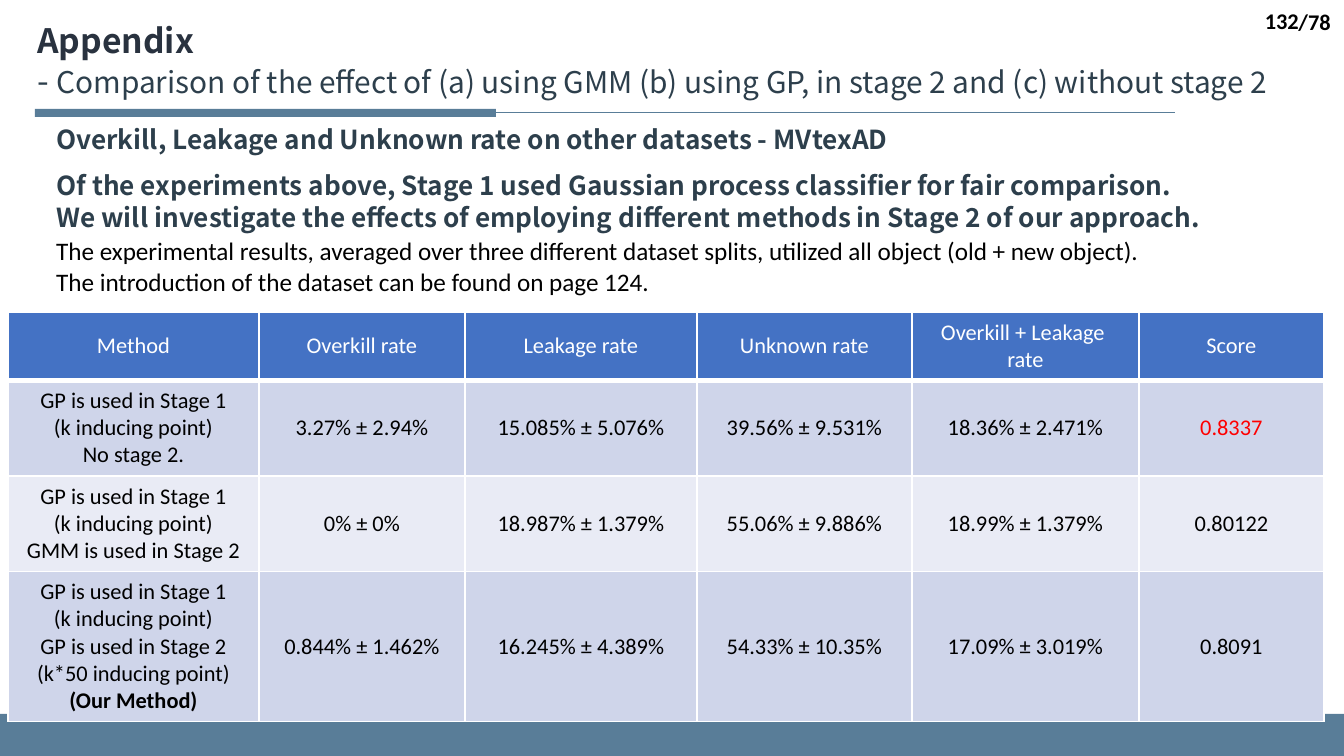
from dataclasses import dataclass

from lxml.etree import SubElement
from pptx import Presentation
from pptx.dml.color import RGBColor
from pptx.enum.shapes import MSO_CONNECTOR, MSO_SHAPE
from pptx.enum.text import MSO_ANCHOR, MSO_AUTO_SIZE, PP_ALIGN
from pptx.oxml.ns import qn
from pptx.util import Pt

SLIDE_WIDTH, SLIDE_HEIGHT = 1344, 756
EMU_PER_PX = 9144000 / SLIDE_WIDTH
TITLE_ONLY = 5


@dataclass(frozen=True)
class Theme:
    heading_font: str = "Noto Sans CJK SC"
    body_font: str = "Calibri"
    accent: str = "597D98"
    title: str = "29323F"
    heading: str = "2D3F4C"
    black: str = "000000"
    white: str = "FFFFFF"
    highlight: str = "FF0000"
    header_fill: str = "4472C4"
    band_fills: tuple = ("CFD5EA", "E9EBF5")
    title_size: float = 18
    subtitle_size: float = 16
    heading_size: float = 14
    body_size: float = 13.5
    small_size: float = 12


def px(length):
    return round(length * EMU_PER_PX)


def set_all(target, values):
    for name, value in values.items():
        setattr(target, name, value)


class SlideBuilder:
    def __init__(self, slide, theme):
        self.slide = slide
        self.theme = theme

    def style_font(self, font, face, size, color, bold=False):
        set_all(font, {"name": face, "size": Pt(size), "bold": bold})
        font.color.rgb = RGBColor.from_string(color)

    def title(self, box, heading, subtitle):
        theme = self.theme
        shape = self.slide.shapes.title
        set_all(shape, dict(zip(("left", "top", "width", "height"), map(px, box))))
        set_all(shape.text_frame, {
            "word_wrap": True,
            "auto_size": MSO_AUTO_SIZE.NONE,
            "vertical_anchor": MSO_ANCHOR.TOP,
        })
        paragraph = shape.text_frame.paragraphs[0]
        paragraph.alignment = PP_ALIGN.LEFT
        runs = (
            (heading, theme.title_size, theme.title, True),
            ("- ", theme.title_size, theme.heading, False),
            (subtitle, theme.subtitle_size, theme.heading, False),
        )
        for index, (text, size, color, bold) in enumerate(runs):
            if index == 1:
                paragraph.add_line_break()
            run = paragraph.add_run()
            run.text = text
            self.style_font(run.font, theme.heading_font, size, color, bold)

    def text(self, box, lines, face, size, color, bold=False,
             align=PP_ALIGN.LEFT, anchor=MSO_ANCHOR.TOP):
        frame = self.slide.shapes.add_textbox(*map(px, box)).text_frame
        set_all(frame, {"word_wrap": True, "vertical_anchor": anchor})
        frame.text = "\n".join(lines)
        for paragraph in frame.paragraphs:
            paragraph.alignment = align
            self.style_font(paragraph.font, face, size, color, bold)

    def heading(self, box, *lines):
        theme = self.theme
        self.text(box, lines, theme.heading_font, theme.heading_size, theme.heading, True)

    def page_label(self, box, label):
        theme = self.theme
        self.text(box, [label], theme.body_font, theme.small_size, theme.black, True,
                  PP_ALIGN.RIGHT, MSO_ANCHOR.MIDDLE)

    def bar(self, box):
        shape = self.slide.shapes.add_shape(MSO_SHAPE.RECTANGLE, *map(px, box))
        shape.shadow.inherit = False
        shape.fill.solid()
        shape.fill.fore_color.rgb = RGBColor.from_string(self.theme.accent)
        shape.line.fill.background()
        return shape

    def rule_to(self, bar, start_x, y):
        """Draw a thin rule from start_x to the left side of the bar."""
        rule = self.slide.shapes.add_connector(
            MSO_CONNECTOR.STRAIGHT, px(start_x), px(y), bar.left, px(y))
        rule.end_connect(bar, 1)
        rule.line.width = Pt(0.5)
        rule.line.color.rgb = RGBColor.from_string(self.theme.accent)
        SubElement(rule._element.spPr, qn("a:effectLst"))

    def cell_borders(self, cell, bottom):
        properties = cell._tc.get_or_add_tcPr()
        widths = {"a:lnL": 1, "a:lnR": 1, "a:lnT": 1, "a:lnB": bottom}
        for index, (tag, width) in enumerate(widths.items()):
            line = properties.makeelement(qn(tag), {"w": str(Pt(width))})
            fill = SubElement(line, qn("a:solidFill"))
            SubElement(fill, qn("a:srgbClr"), val=self.theme.white)
            properties.insert(index, line)

    def cell(self, cell, text, fill, color, bottom=1):
        cell.fill.solid()
        cell.fill.fore_color.rgb = RGBColor.from_string(fill)
        cell.vertical_anchor = MSO_ANCHOR.MIDDLE
        self.cell_borders(cell, bottom)
        cell.text_frame.text = text
        for paragraph in cell.text_frame.paragraphs:
            paragraph.alignment = PP_ALIGN.CENTER
            for run in paragraph.runs:
                self.style_font(run.font, self.theme.body_font, self.theme.small_size,
                                color, run.text == OUR_METHOD)

    def table(self, left, top, widths, heights, header, rows, best):
        """Build the results table; the score equal to best is highlighted."""
        theme = self.theme
        table = self.slide.shapes.add_table(
            len(heights), len(widths), px(left), px(top),
            px(sum(widths)), px(sum(heights))).table
        for column, width in zip(table.columns, widths):
            column.width = px(width)
        for row, height in zip(table.rows, heights):
            row.height = px(height)
        for column, label in enumerate(header):
            self.cell(table.cell(0, column), label, theme.header_fill, theme.white, 3)
        for index, values in enumerate(rows):
            fill = theme.band_fills[index % 2]
            for column, value in enumerate(values):
                cell = table.cell(index + 1, column)
                color = theme.highlight if value == best else theme.black
                self.cell(cell, value, fill, color)
                if column:
                    set_all(cell, {"margin_left": px(17), "margin_right": px(17),
                                   "margin_top": px(9), "margin_bottom": px(9)})


OUR_METHOD = "(Our Method)"
STAGE_1 = "GP is used in Stage 1\n(k inducing point)\n"
HEADER = ("Method", "Overkill rate", "Leakage rate", "Unknown rate",
          "Overkill + Leakage \nrate", "Score")
RESULTS = (
    (STAGE_1 + "No stage 2.", "3.27% ± 2.94%", "15.085% ± 5.076%",
     "39.56% ± 9.531%", "18.36% ± 2.471%", "0.8337"),
    (STAGE_1 + "GMM is used in Stage 2", "0% ± 0%", "18.987% ± 1.379%",
     "55.06% ± 9.886%", "18.99% ± 1.379%", "0.80122"),
    (STAGE_1 + "GP is used in Stage 2\n(k*50 inducing point)\n" + OUR_METHOD,
     "0.844% ± 1.462%", "16.245% ± 4.389%", "54.33% ± 10.35%",
     "17.09% ± 3.019%", "0.8091"),
)


def main():
    theme = Theme()
    deck = Presentation()
    set_all(deck, {"slide_width": px(SLIDE_WIDTH), "slide_height": px(SLIDE_HEIGHT)})
    builder = SlideBuilder(deck.slides.add_slide(deck.slide_layouts[TITLE_ONLY]), theme)

    builder.bar((0, 714, SLIDE_WIDTH, 42))
    title_bar = builder.bar((35, 109, 461, 8))
    builder.rule_to(title_bar, 1175, 113)
    builder.table(8, 312, (251, 206, 232, 215, 227, 185), (67, 96, 95, 150),
                  HEADER, RESULTS, best="0.8337")
    builder.title((24, 13, 1316, 95), "Appendix",
                  "Comparison of the effect of (a) using GMM (b) using GP, "
                  "in stage 2 and (c) without stage 2")
    builder.heading((43, 117, 997, 46),
                    "Overkill, Leakage and Unknown rate on other datasets - MVtexAD")
    builder.heading(
        (43, 163, 1281, 77),
        "Of the experiments above, Stage 1 used Gaussian process classifier for fair comparison.",
        "We will investigate the effects of employing different methods in Stage 2 of our approach.")
    builder.text(
        (43, 229, 1109, 75),
        ("The experimental results, averaged over three different dataset splits, "
         "utilized all object (old + new object).",
         "The introduction of the dataset can be found on page 124."),
        theme.body_font, theme.body_size, theme.black)
    builder.page_label((1282, 1, 62, 40), "/78")
    builder.page_label((1042, 0, 270, 42), "132")
    deck.save("out.pptx")


if __name__ == "__main__":
    main()
